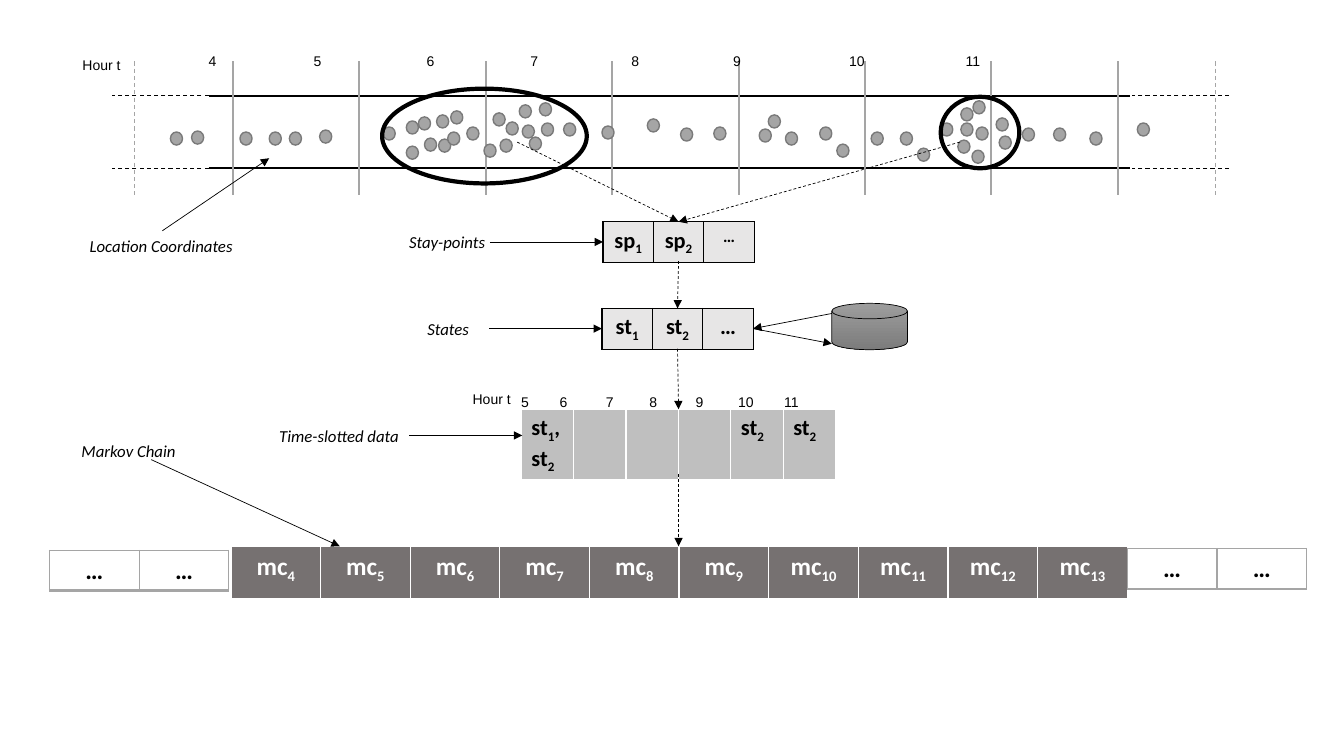
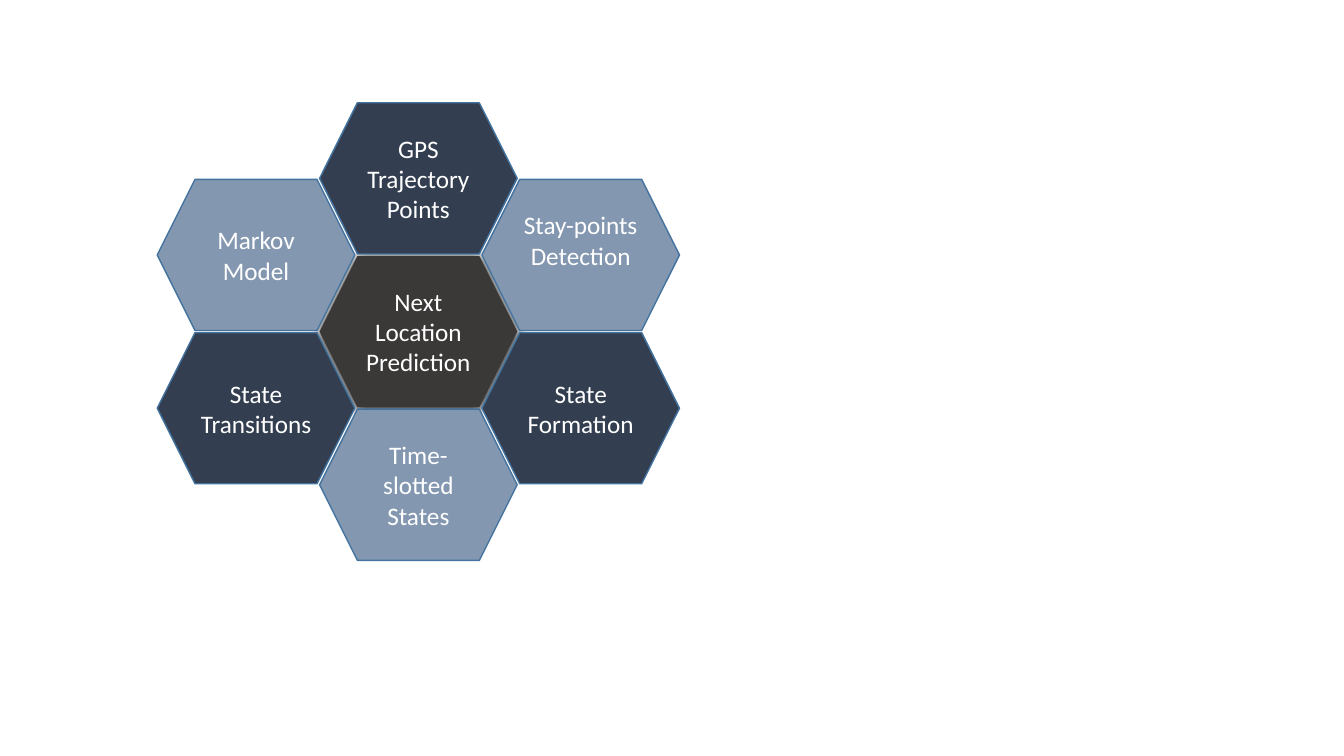
from dataclasses import dataclass
from typing import NamedTuple

from lxml.etree import SubElement
from pptx import Presentation
from pptx.dml.color import RGBColor
from pptx.enum.dml import MSO_LINE
from pptx.enum.shapes import MSO_CONNECTOR, MSO_SHAPE
from pptx.enum.text import MSO_ANCHOR, MSO_AUTO_SIZE, PP_ALIGN
from pptx.oxml.ns import qn
from pptx.util import Emu, Pt

EMU_PER_PX = 9144
BLACK, WHITE = "000000", "FFFFFF"
GREY, DOT_OUTLINE = "A5A5A5", "7A7A7A"
PALE, SILVER, STONE = "E7E6E6", "BFBFBF", "767171"
CHARCOAL, NAVY, STEEL, HEXAGON_OUTLINE = "3B3838", "333F50", "8497B0", "43739E"
BODY_FONT, AXIS_FONT = "Calibri", "Arial"


class Line(NamedTuple):
    x1: int
    y1: int
    x2: int
    y2: int
    width: float = 0.5
    color: str = BLACK
    dashed: bool = False
    arrow: bool = False


class Box(NamedTuple):
    left: int
    top: int
    width: int
    height: int


class Label(NamedTuple):
    text: str
    box: Box
    size: int = 12
    font: str = BODY_FONT
    italic: bool = True


class Cell(NamedTuple):
    pieces: tuple[tuple[str, str], ...] = ()
    size: int = 16


class Hexagon(NamedTuple):
    text: str
    column: int
    half_row: int
    fill: str
    outline: str | None = HEXAGON_OUTLINE
    lift: int = 0


@dataclass
class Strip:
    box: Box
    cells: list[Cell]
    fill: str | None
    color: str
    border: str
    bottom_width: int = 1
    centered: bool = True


def px(length: int) -> Emu:
    return Emu(round(length * EMU_PER_PX))


def place(box: Box) -> list[Emu]:
    return [px(length) for length in box]


def paint(fill, color: str) -> None:
    fill.solid()
    fill.fore_color.rgb = RGBColor.from_string(color)


def add_run(paragraph, text: str, size: int, color: str = BLACK, font: str = BODY_FONT):
    run = paragraph.add_run()
    run.text = text
    run.font.size = Pt(size)
    run.font.name = font
    paint(run.font.fill, color)
    return run


def add_line(slide, line: Line) -> None:
    ends = [px(length) for length in line[:4]]
    connector = slide.shapes.add_connector(MSO_CONNECTOR.STRAIGHT, *ends)
    connector.line.width = Pt(line.width)
    paint(connector.line.fill, line.color)
    if line.dashed:
        connector.line.dash_style = MSO_LINE.DASH
    if line.arrow:
        SubElement(connector.line._get_or_add_ln(), qn("a:tailEnd"), type="triangle")
    SubElement(connector._element.spPr, qn("a:effectLst"))


def add_shape(slide, kind: MSO_SHAPE, box: Box, fill: str | None,
              outline: str | None, width: float = 1):
    shape = slide.shapes.add_shape(kind, *place(box))
    shape.shadow.inherit = False
    if fill:
        paint(shape.fill, fill)
    else:
        shape.fill.background()
    if outline:
        paint(shape.line.fill, outline)
        shape.line.width = Pt(width)
    else:
        shape.line.fill.background()
    return shape


def add_label(slide, label: Label) -> None:
    frame = slide.shapes.add_textbox(*place(label.box)).text_frame
    frame.word_wrap = False
    frame.auto_size = MSO_AUTO_SIZE.SHAPE_TO_FIT_TEXT
    run = add_run(frame.paragraphs[0], label.text, label.size, font=label.font)
    run.font.italic = label.italic


def add_hour_scale(slide, box: Box, first_hour: int, centers: list[int]) -> None:
    frame = slide.shapes.add_textbox(*place(box)).text_frame
    frame.word_wrap = True
    start = centers[0] - 4
    frame.margin_left = px(start - box.left)
    paragraph = frame.paragraphs[0]
    tabs = SubElement(paragraph._p.get_or_add_pPr(), qn("a:tabLst"))
    for center in centers[1:]:
        SubElement(tabs, qn("a:tab"), pos=str(px(center - start)), algn="ctr")
    hours = range(first_hour, first_hour + len(centers))
    add_run(paragraph, "\t".join(map(str, hours)), 10, font=AXIS_FONT)


def add_borders(cell, color: str, bottom_width: int) -> None:
    properties = cell._tc.get_or_add_tcPr()
    for side in ("lnL", "lnR", "lnT", "lnB"):
        width = Pt(bottom_width if side == "lnB" else 1)
        border = SubElement(properties, qn(f"a:{side}"), w=str(width))
        SubElement(SubElement(border, qn("a:solidFill")), qn("a:srgbClr"), val=color)


def add_strip(slide, strip: Strip) -> None:
    count = len(strip.cells)
    table = slide.shapes.add_table(1, count, *place(strip.box)).table
    table.first_row = table.horz_banding = False
    for index, content in enumerate(strip.cells):
        table.columns[index].width = px(strip.box.width) // count
        cell = table.cell(0, index)
        add_borders(cell, strip.border, strip.bottom_width)
        if strip.fill:
            paint(cell.fill, strip.fill)
        else:
            cell.fill.background()
        paragraph = cell.text_frame.paragraphs[0]
        if strip.centered:
            paragraph.alignment = PP_ALIGN.CENTER
        for text, subscript in content.pieces:
            add_run(paragraph, text, content.size, strip.color).font.bold = True
            if subscript:
                run = add_run(paragraph, subscript, content.size, strip.color)
                run.font.bold = True
                run.font._element.set("baseline", "-25000")


def add_database(slide) -> None:
    database = add_shape(slide, MSO_SHAPE.FLOWCHART_MAGNETIC_DISK,
                         Box(825, 301, 75, 46), None, BLACK, 0.5)
    database.fill.gradient()
    database.fill.gradient_angle = 270
    for stop, color in zip(database.fill.gradient_stops, ("9D9D9D", "7C7C7C")):
        stop.color.rgb = RGBColor.from_string(color)


def add_hexagon(slide, hexagon: Hexagon) -> None:
    box = Box(156 + 161 * hexagon.column, 102 + 76 * hexagon.half_row, 196, 150)
    shape = add_shape(slide, MSO_SHAPE.HEXAGON, box, hexagon.fill, hexagon.outline)
    if not hexagon.outline:
        effects = shape._element.spPr.find(qn("a:effectLst"))
        shadow = SubElement(effects, qn("a:outerShdw"), blurRad=str(Pt(8.5)),
                            dist=str(Pt(1)), dir="5400000", algn="t", rotWithShape="0")
        SubElement(shadow, qn("a:srgbClr"), val=BLACK)
    frame = shape.text_frame
    frame.word_wrap = True
    frame.vertical_anchor = MSO_ANCHOR.MIDDLE
    frame.margin_bottom = px(5 + 2 * hexagon.lift)
    paragraph = frame.paragraphs[0]
    paragraph.alignment = PP_ALIGN.CENTER
    add_run(paragraph, hexagon.text, 18, WHITE)


DOTS = [
    (169, 131), (753, 128), (675, 127), (238, 131), (642, 118), (597, 125), (287, 131),
    (535, 102), (525, 136), (489, 112), (537, 122), (380, 126), (403, 120), (415, 116),
    (433, 114), (708, 126), (190, 130), (762, 114), (267, 131), (559, 122), (317, 129),
    (518, 124), (496, 138), (515, 104), (502, 121), (403, 145), (421, 137), (435, 138),
    (444, 131), (447, 110), (463, 126), (480, 143), (779, 131), (813, 126), (830, 143),
    (864, 131), (893, 131), (910, 147), (933, 122), (968, 126), (1014, 127), (1045, 127),
    (1081, 131), (1128, 122), (950, 139), (964, 149), (965, 100), (953, 107), (988, 117),
    (991, 135), (953, 122),
]
STAY_AREAS = [Box(379, 88, 203, 94), Box(933, 96, 78, 71)]

TIMELINE = [
    line
    for y in (95, 167)
    for line in (
        Line(207, y, 111, y, 0.75, dashed=True),
        Line(207, y, 1121, y, 1.5),
        Line(1219, y, 1123, y, 0.75, dashed=True),
    )
]
TIMELINE += [Line(x, 61, x, 193, 1.5, GREY)
             for x in (round(231 + 125.4 * hour) for hour in range(8))]
TIMELINE += [Line(x, 61, x, 193, 0.75, GREY, dashed=True) for x in (133, 1206)]

FLOW_ARROWS = [Line(*ends, dashed=True, arrow=True) for ends in (
    (513, 141, 673, 220), (952, 141, 673, 220), (673, 259, 672, 306),
    (672, 346, 673, 406), (673, 470, 673, 542))]
POINTER_ARROWS = [Line(*ends, arrow=True) for ends in (
    (161, 229, 267, 157), (486, 240, 598, 240), (485, 326, 597, 326),
    (825, 311, 747, 326), (747, 326, 825, 341), (406, 432, 518, 432),
    (150, 456, 337, 542))]

LABELS = [
    Label("Hour t", Box(72, 51, 60, 27), 10, AXIS_FONT, False),
    Label("Hour t", Box(459, 383, 60, 27), 10, AXIS_FONT, False),
    Label("Location Coordinates", Box(79, 229, 164, 30)),
    Label("Stay-points", Box(396, 225, 96, 30)),
    Label("States", Box(414, 311, 62, 30)),
    Label("Time-slotted data", Box(267, 417, 139, 30)),
    Label("Markov Chain", Box(71, 432, 114, 30)),
]

STATE_1, STATE_2 = Cell((("st", "1"),)), Cell((("st", "2"),))
MORE = [Cell((("…", ""),), 18)] * 2
STRIPS = [
    Strip(Box(598, 220, 150, 40),
          [Cell((("sp", "1"),)), Cell((("sp", "2"),)), Cell((("…", ""),), 12)],
          PALE, BLACK, BLACK),
    Strip(Box(597, 306, 150, 40), [STATE_1, STATE_2, Cell((("…", ""),))],
          PALE, BLACK, BLACK),
    Strip(Box(517, 406, 312, 63),
          [Cell((("st", "1"), (", st", "2"))), *[Cell()] * 3, STATE_2, STATE_2],
          SILVER, BLACK, WHITE, 3, False),
    Strip(Box(229, 542, 889, 53),
          [Cell((("mc", str(hour)),), 18) for hour in range(4, 14)],
          STONE, WHITE, WHITE, 3),
    Strip(Box(49, 546, 178, 40), MORE, None, BLACK, GREY, 2),
    Strip(Box(1118, 544, 178, 40), MORE, None, BLACK, GREY, 2),
]

HEXAGONS = [
    Hexagon("Next Location Prediction", 1, 2, CHARCOAL, None),
    Hexagon("State Formation", 2, 3, NAVY),
    Hexagon("Stay-points Detection", 2, 1, STEEL, lift=15),
    Hexagon("GPS Trajectory Points", 1, 0, NAVY),
    Hexagon("Markov Model", 0, 1, STEEL),
    Hexagon("State Transitions", 0, 3, NAVY),
    Hexagon("Time-slotted States", 1, 4, STEEL),
]


def build_pipeline(slide) -> None:
    for line in TIMELINE:
        add_line(slide, line)
    add_hour_scale(slide, Box(187, 47, 1004, 27), 4,
                   [211, 315, 427, 530, 630, 731, 850, 965])
    for left, top in DOTS:
        add_shape(slide, MSO_SHAPE.OVAL, Box(left, top, 12, 13), GREY, DOT_OUTLINE)
    for area in STAY_AREAS:
        add_shape(slide, MSO_SHAPE.OVAL, area, None, BLACK, 3)
    for strip in STRIPS:
        add_strip(slide, strip)
    add_database(slide)
    for arrow in FLOW_ARROWS + POINTER_ARROWS:
        add_line(slide, arrow)
    for label in LABELS:
        add_label(slide, label)
    add_hour_scale(slide, Box(507, 385, 346, 27), 5, [521, 559, 605, 648, 694, 740, 785])


def build_components(slide) -> None:
    for hexagon in HEXAGONS:
        add_hexagon(slide, hexagon)


def main() -> None:
    presentation = Presentation()
    presentation.slide_width, presentation.slide_height = px(1333), px(750)
    for build in (build_pipeline, build_components):
        build(presentation.slides.add_slide(presentation.slide_layouts[6]))
    presentation.save("out.pptx")


if __name__ == "__main__":
    main()
